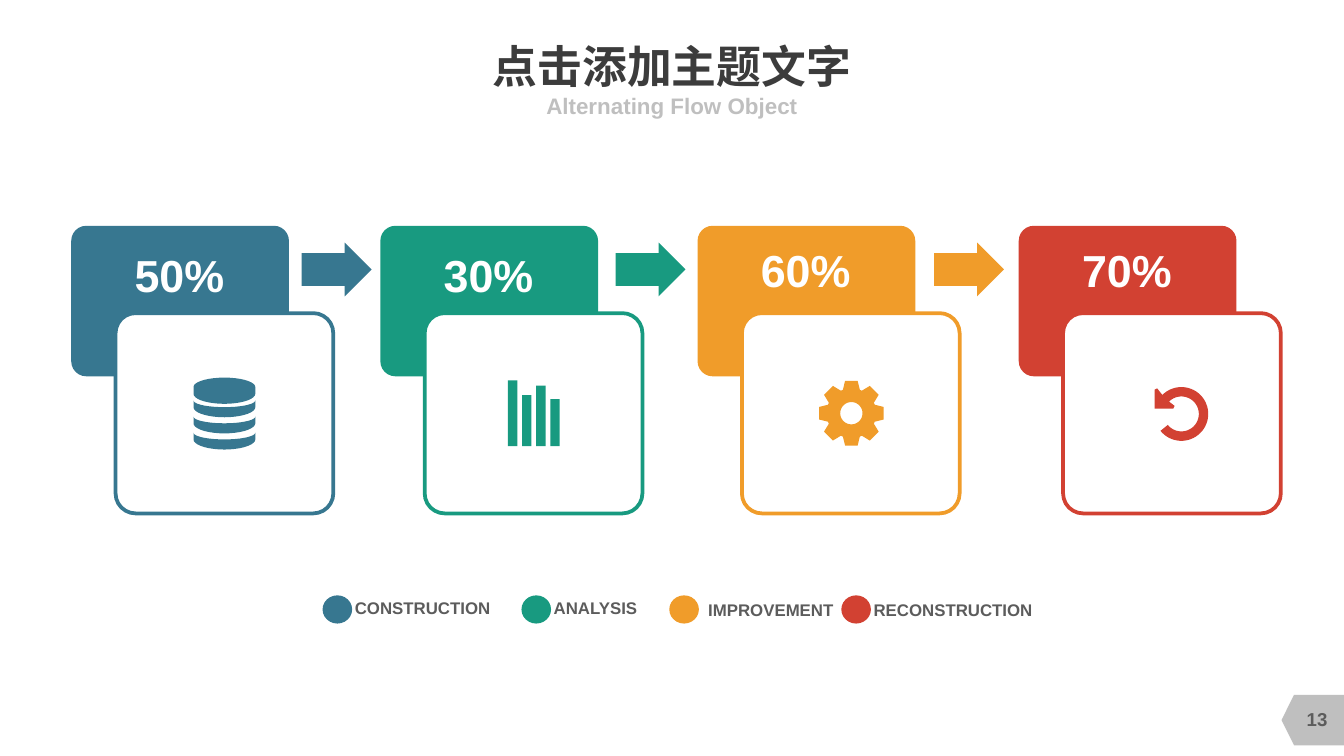
"""Build a four-step flow slide with percentages, icons and a legend."""
from math import cos, radians, sin

from pptx import Presentation
from pptx.dml.color import RGBColor
from pptx.enum.shapes import MSO_SHAPE as Shape
from pptx.enum.text import MSO_ANCHOR as Anchor, MSO_AUTO_SIZE as AutoSize, PP_ALIGN as Align
from pptx.util import Inches, Pt

COLORS = {
    "blue": "377790", "green": "189A80", "orange": "F09C2A", "red": "D24132",
    "white": "FFFFFF", "dark": "3C3C3C", "gray": "5C5C5C", "light": "BFBFBF",
}
HEX = {name: RGBColor.from_string(value) for name, value in COLORS.items()}

presentation = Presentation()
presentation.slide_width = Inches(10)
presentation.slide_height = presentation.slide_width * 9 // 16
CELL = presentation.slide_width / 100
slide = presentation.slides.add_slide(presentation.slide_layouts[2])


def style_shape(shape, color):
    shape.shadow.inherit = False
    shape.fill.solid()
    shape.fill.fore_color.rgb = HEX[color]
    shape.line.fill.background()
    return shape


def write_text(shape, box, text, size, color, align=Align.CENTER, anchor=Anchor.MIDDLE, wrap=False):
    for side, cells in zip(("left", "top", "width", "height"), box):
        setattr(shape, side, round(cells * CELL))
    frame = shape.text_frame
    frame.text = text
    frame_format = {
        "margin_left": 0, "margin_top": 0, "margin_right": 0, "margin_bottom": 0,
        "word_wrap": wrap, "vertical_anchor": anchor, "auto_size": AutoSize.NONE,
    }
    paragraph = frame.paragraphs[0]
    font = paragraph.runs[0].font
    font_format = {"name": "Arial", "size": Pt(size), "bold": True}
    paragraph_format = {"alignment": align, "space_before": Pt(0)}
    for target, values in ((frame, frame_format), (paragraph, paragraph_format), (font, font_format)):
        for name, value in values.items():
            setattr(target, name, value)
    font.color.rgb = HEX[color]


title, subtitle = slide.placeholders
write_text(title, (19.15, 2.9, 61.7, 3.9), "点击添加主题文字", 24, "dark")
write_text(subtitle, (27.5, 6.75, 45, 2.2), "Alternating Flow Object", 12, "light", wrap=True)

page_tab = slide.shapes.add_shape(
    Shape.FLOWCHART_OFFPAGE_CONNECTOR, *(round(n * CELL) for n in (95.8, 51.25, 3.75, 4.65)))
style_shape(page_tab, "light").rotation = 90
write_text(slide.shapes.add_textbox(0, 0, 0, 0), (95.5, 52, 5, 3), "13", 10, "gray")

# left, percentage, percentage top, arrow left, legend word, dot left, word left, word top, word width
steps = {
    "blue": (5.3, "50%", 18.45, 22.45, "CONSTRUCTION", 24, 26.4, 44.5, 10.2),
    "green": (28.3, "30%", 18.45, 45.8, "ANALYSIS", 38.8, 41.2, 44.5, 6.4),
    "orange": (51.9, "60%", 18.05, 69.5, "IMPROVEMENT", 49.8, 52.7, 44.6, 9.4),
    "red": (75.8, "70%", 18.05, None, "RECONSTRUCTION", 62.6, 65, 44.6, 11.9),
}
for color, (left, percent, percent_top, arrow_left, word, dot_left, word_left, word_top, word_width) in steps.items():
    blocks = [
        (Shape.ROUNDED_RECTANGLE, (left, 16.8, 16.2, 11.2), color, (0.1,)),
        (Shape.ROUNDED_RECTANGLE, (left + 3.3, 23.3, 16.2, 14.9), "white", (0.1,)),
        (Shape.OVAL, (dot_left, 44.3, 2.2, 2.1), color, ()),
    ]
    if arrow_left:
        blocks.append((Shape.RIGHT_ARROW, (arrow_left, 18.05, 5.2, 4), color, (0.61, 0.5)))
    for kind, box, fill, adjustments in blocks:
        block = style_shape(slide.shapes.add_shape(kind, *(round(n * CELL) for n in box)), fill)
        for index, value in enumerate(adjustments):
            block.adjustments[index] = value
        if fill == "white":
            block.line.color.rgb = HEX[color]
            block.line.width = Pt(2)
    write_text(slide.shapes.add_textbox(0, 0, 0, 0), (left + 4.7, percent_top, 6.7, 4),
               percent, 24, "white", anchor=Anchor.BOTTOM)
    write_text(slide.shapes.add_textbox(0, 0, 0, 0), (word_left, word_top, word_width, 1.5),
               word, 9, "gray", Align.LEFT, Anchor.TOP)

half_turn = [radians(angle) for angle in range(0, 181, 10)]
database = [
    [(16.7 - 2.3 * cos(a), top + bulge * sin(a)) for a in half_turn]
    + [(16.7 + 2.3 * cos(a), top + 0.5 + 0.75 * sin(a)) for a in half_turn]
    for top, bulge in ((28.8, -0.7), (29.8, 0.5), (31, 0.5), (32.2, 0.5))
]
bars = [
    [(left, top), (left + 0.7, top), (left + 0.7, 33.2), (left, 33.2)]
    for left, top in ((37.8, 28.3), (38.85, 29.4), (39.9, 28.7), (40.95, 29.7))
]
tooth = ((-20, 1.85), (-11, 2.45), (11, 2.45), (20, 1.85))
gear = [
    [(63.35 + radius * cos(radians(turn + angle)), 30.75 + radius * sin(radians(turn + angle)))
     for turn in range(0, 360, 45) for angle, radius in tooth],
    [(63.35 + 0.83 * cos(radians(angle)), 30.75 + 0.83 * sin(radians(angle)))
     for angle in range(360, 0, -10)],
]
sweep = [radians(angle) for angle in range(141, -136, -6)]
undo = [
    [(87.9 + 2 * cos(a), 30.8 + 2 * sin(a)) for a in sweep]
    + [(86.1, 28.9), (85.9, 29), (85.9, 30.4), (87.3, 30.4), (87.4, 30.2)]
    + [(87.9 + 1.3 * cos(a), 30.8 + 1.3 * sin(a)) for a in reversed(sweep)]
]
for color, contours in zip(steps, (database, bars, gear, undo)):
    outlines = [[(round(x * CELL), round(y * CELL)) for x, y in contour] for contour in contours]
    builder = slide.shapes.build_freeform(*outlines[0][0])
    for outline in outlines:
        if outline is not outlines[0]:
            builder.move_to(*outline[0])
        builder.add_line_segments(outline[1:], close=True)
    style_shape(builder.convert_to_shape(), color)

presentation.save("out.pptx")
